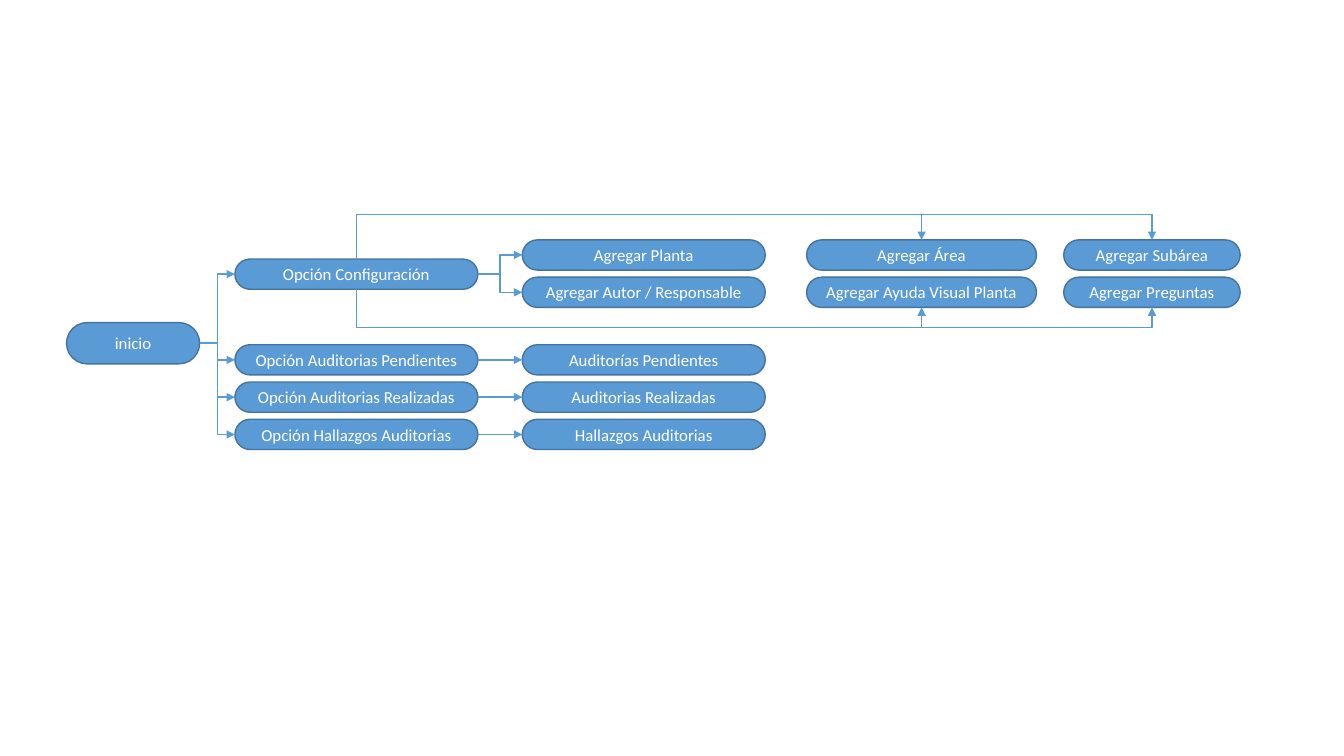
from lxml import etree
from pptx import Presentation
from pptx.dml.color import RGBColor
from pptx.enum import shapes, text
from pptx.oxml import ns
from pptx import util as u

PX = 9144
SLIDE = (1333, 750)
BLUE = RGBColor(0x5B, 0x9B, 0xD5)
DARK_BLUE = RGBColor(0x43, 0x73, 0x9E)
WHITE = RGBColor(0xFF, 0xFF, 0xFF)
LABEL_FONT = {"name": "Calibri", "size": u.Pt(12)}

START = ("inicio", 66, 320, 132, 41)
STEP_HEIGHT, ROW_PITCH = 30, 37
CONFIG = "Opción Configuración"
COLUMNS = [
    (233, 241, 257, [CONFIG]),
    (233, 241, 342, ["Opción Auditorias Pendientes", "Opción Auditorias Realizadas",
                     "Opción Hallazgos Auditorias"]),
    (518, 241, 238, ["Agregar Planta", "Agregar Autor / Responsable"]),
    (518, 241, 342, ["Auditorías Pendientes", "Auditorias Realizadas", "Hallazgos Auditorias"]),
    (800, 228, 238, ["Agregar Área", "Agregar Ayuda Visual Planta"]),
    (1055, 175, 238, ["Agregar Subárea", "Agregar Preguntas"]),
]
SIDE_FLOWS = [
    ("inicio", [CONFIG] + COLUMNS[1][3]),
    (CONFIG, COLUMNS[2][3]),
] + [(option, [page]) for option, page in zip(COLUMNS[1][3], COLUMNS[3][3])]
TOP, LEFT, BOTTOM, RIGHT = range(4)
LOOP_FLOWS = [
    (TOP, 213, 90, ["Agregar Área", "Agregar Subárea"]),
    (BOTTOM, 325, 270, ["Agregar Ayuda Visual Planta", "Agregar Preguntas"]),
]


def add_step(slide, label, *box):
    step = slide.shapes.add_shape(shapes.MSO_SHAPE.ROUNDED_RECTANGLE, *(n * PX for n in box))
    step.adjustments[0] = 0.5
    step.shadow.inherit = False
    step.fill.solid()
    step.fill.fore_color.rgb = BLUE
    step.line.color.rgb = DARK_BLUE
    step.line.width = u.Pt(1)
    frame = step.text_frame
    frame.word_wrap = True
    frame.vertical_anchor = text.MSO_ANCHOR.MIDDLE
    paragraph = frame.paragraphs[0]
    paragraph.alignment = text.PP_ALIGN.CENTER
    run = paragraph.add_run()
    run.text = label
    for key, value in LABEL_FONT.items():
        setattr(run.font, key, value)
    run.font.color.rgb = WHITE
    return step


def add_arrow(slide, source, source_side, target, target_side, kind):
    arrow = slide.shapes.add_connector(kind, 0, 0, 0, 0)
    arrow.begin_connect(source, source_side)
    arrow.end_connect(target, target_side)
    arrow.line.color.rgb = BLUE
    arrow.line.width = u.Pt(1)
    etree.SubElement(arrow.line._get_or_add_ln(), ns.qn("a:tailEnd"), type="triangle")
    etree.SubElement(arrow.element.spPr, ns.qn("a:effectLst"))
    return arrow


def route_loop(arrow, rail, angle):
    across = arrow.end_x - arrow.begin_x
    rise = abs(arrow.end_y - arrow.begin_y)
    middle_x = (arrow.begin_x + arrow.end_x) // 2
    middle_y = (arrow.begin_y + arrow.end_y) // 2
    bend = round(abs(rail * PX - arrow.begin_y) / rise * 100000)
    arrow.left, arrow.top = middle_x - rise // 2, middle_y - across // 2
    arrow.width, arrow.height = rise, across
    properties = arrow.element.spPr
    frame = properties.find(ns.qn("a:xfrm"))
    frame.set("rot", str(angle * 60000))
    frame.set("flipH", "1")
    guides = properties.find(ns.qn("a:prstGeom")).find(ns.qn("a:avLst"))
    etree.SubElement(guides, ns.qn("a:gd"), name="adj1", fmla=f"val {bend}")


def main():
    deck = Presentation()
    deck.slide_width, deck.slide_height = (n * PX for n in SLIDE)
    slide = deck.slides.add_slide(deck.slide_layouts[6])
    steps = {START[0]: add_step(slide, *START)}
    for left, width, top, labels in COLUMNS:
        for row, label in enumerate(labels):
            steps[label] = add_step(slide, label, left, top + row * ROW_PITCH, width, STEP_HEIGHT)

    kinds = shapes.MSO_CONNECTOR
    for source, targets in SIDE_FLOWS:
        kind = kinds.ELBOW if len(targets) > 1 else kinds.STRAIGHT
        for target in targets:
            add_arrow(slide, steps[source], RIGHT, steps[target], LEFT, kind)
    for side, rail, angle, targets in LOOP_FLOWS:
        for target in targets:
            arrow = add_arrow(slide, steps[CONFIG], side, steps[target], side, kinds.ELBOW)
            route_loop(arrow, rail, angle)
    deck.save("out.pptx")


if __name__ == "__main__":
    main()
